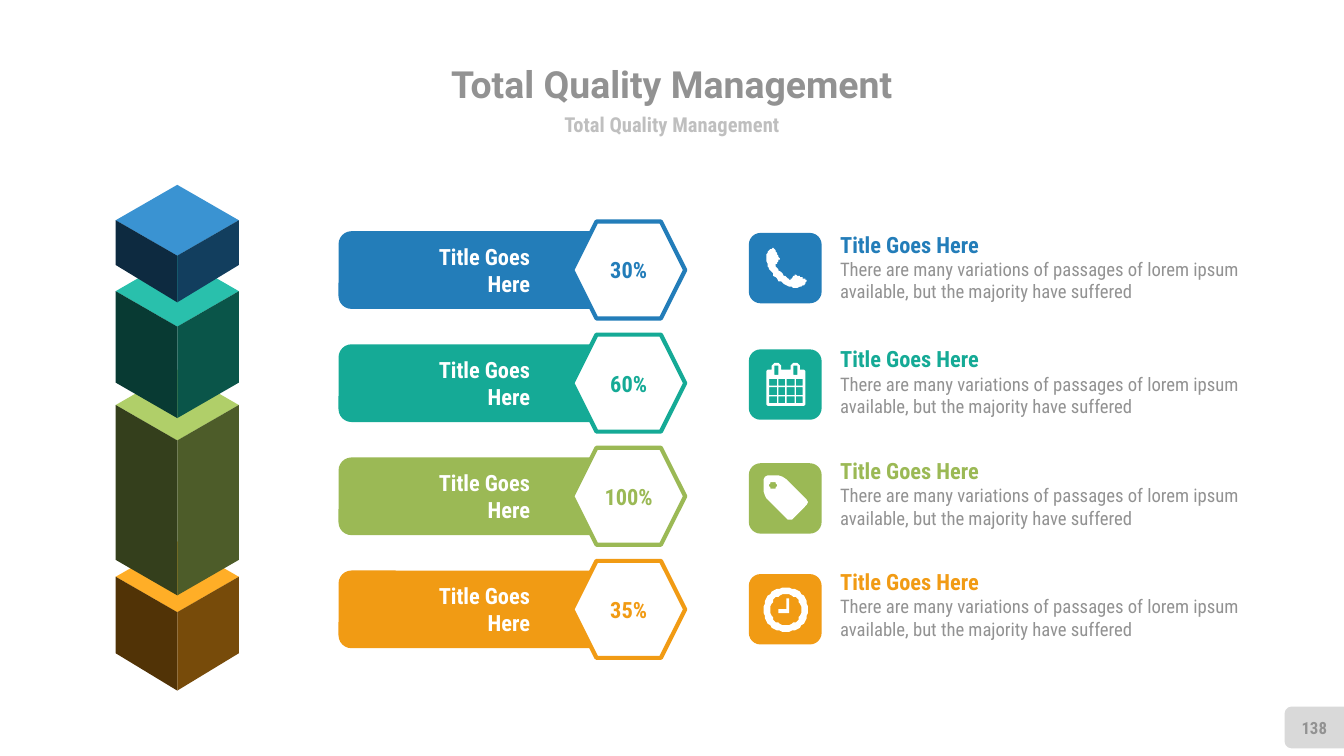
import math
from pptx import Presentation
from pptx.dml.color import RGBColor
from pptx.enum.shapes import MSO_SHAPE
from pptx.enum.text import MSO_ANCHOR, PP_ALIGN
from pptx.util import Pt

ROUND, HEX, TAB = MSO_SHAPE.ROUNDED_RECTANGLE, MSO_SHAPE.HEXAGON, MSO_SHAPE.ROUND_2_SAME_RECTANGLE
LEFT, MID, RIGHT = PP_ALIGN.LEFT, PP_ALIGN.CENTER, PP_ALIGN.RIGHT
TOP, CENTER = MSO_ANCHOR.TOP, MSO_ANCHOR.MIDDLE
HEAD, BODY = "Roboto", "Roboto Condensed"
UNIT = Pt(0.72)  # icon grid: a hundredth of an inch

COLORS = {
    "blue": "237DB9", "teal": "15AA96", "green": "9BB955", "orange": "F19B14",
    "white": "FFFFFF", "gray": "929292", "pale": "BFBFBF", "tab": "D9D9D9",
}
# Faces of each block: top, left, right
FACES = {
    "blue": ("3A93D2", "0D2A40", "123E5E"),
    "teal": ("29C0AC", "083A33", "0A5549"),
    "green": ("B0CF69", "343F1C", "4D5C29"),
    "orange": ("FFAE27", "513306", "774B0A"),
}
# Color, percent, icon top, text top
ROWS = [
    ("blue", "30%", 124.8, 120.2),
    ("teal", "60%", 187.2, 181.6),
    ("green", "100%", 248.2, 241.4),
    ("orange", "35%", 307.6, 300.9),
]
# Color, top and side height of each block, from the back
BLOCKS = [("orange", 290, 41.3), ("green", 198.1, 82.6),
          ("teal", 136.8, 49.4), ("blue", 98.6, 24.7)]
TITLE = "Title Goes Here"
NOTE = ("There are many variations of passages of lorem ipsum available, "
        "but the majority have suffered")


def paint(shape, color, line=None):
    shape.shadow.inherit = False
    shape.fill.solid()
    shape.fill.fore_color.rgb = RGBColor.from_string(color)
    if line:
        shape.line.color.rgb = RGBColor.from_string(line)
        shape.line.width = Pt(2.25)
    else:
        shape.line.fill.background()
    return shape


def add_box(slide, kind, box, color, line=None):
    shape = slide.shapes.add_shape(kind, *map(Pt, box))
    return paint(shape, COLORS[color], line and COLORS[line])


def fill_text(shape, lines, align=MID, anchor=CENTER, pad=(0, 0)):
    """Each line is (text, size, color, bold, font)."""
    frame = shape.text_frame
    frame.word_wrap = True
    frame.vertical_anchor = anchor
    frame.margin_left = frame.margin_right = Pt(pad[0])
    frame.margin_top = frame.margin_bottom = Pt(pad[1])
    for i, (text, size, color, bold, face) in enumerate(lines):
        par = frame.add_paragraph() if i else frame.paragraphs[0]
        par.text, par.alignment = text, align
        font = par.font
        font.size, font.bold, font.name = Pt(size), bold, face
        font.color.rgb = RGBColor.from_string(COLORS[color])


def add_text(slide, box, lines, **style):
    fill_text(slide.shapes.add_textbox(*map(Pt, box)), lines, **style)


def draw(slide, paths, color, x=0, y=0, scale=Pt(1)):
    pen = slide.shapes.build_freeform(*paths[0][0], scale=scale)
    for i, path in enumerate(paths):
        if i:
            pen.move_to(*path[0])
        pen.add_line_segments(path[1:], close=True)
    paint(pen.convert_to_shape(Pt(x), Pt(y)), color)


# Outlines on the icon grid
def rect(x, y, w, h):
    return [(x, y), (x + w, y), (x + w, y + h), (x, y + h)]


def ring(x, y, r, n=48):
    turns = [2 * math.pi * i / n for i in range(n)]
    return [(x + r * math.cos(t), y + r * math.sin(t)) for t in turns]


def smooth(path, times=2):
    for _ in range(times):
        path = [(a[0] + (b[0] - a[0]) * t, a[1] + (b[1] - a[1]) * t)
                for a, b in zip(path, path[1:] + path[:1]) for t in (0.25, 0.75)]
    return path


def phone():
    return [smooth([
        (42, 38), (39, 40), (35, 41), (30, 40), (26, 38), (20, 34), (16, 28),
        (14, 25), (13, 19), (13, 15), (16, 12), (19, 11), (20, 14), (22, 17),
        (23, 20), (20, 23), (20, 25), (24, 30), (29, 34), (31, 35), (34, 31),
        (37, 32), (41, 34), (43, 35)])]


def dates():
    page = [(13, 16), (14, 15), (17, 15), (17, 12), (19, 10), (22, 10), (24, 12),
            (24, 15), (31, 15), (31, 12), (33, 10), (36, 10), (38, 12), (38, 15),
            (41, 15), (42, 16), (42, 41), (41, 42), (14, 42), (13, 41)]
    cells = [rect(15.2 + 6.6 * i, 21.8 + 6.6 * j, 5.4, 5.4)
             for j in range(3) for i in range(4)]
    return [page, rect(19.2, 12, 2.6, 7), rect(33.2, 12, 2.6, 7)] + cells


def label():
    edge = [(43, 31), (32, 42), (30.5, 42.5), (29, 42), (13, 26), (11.5, 23.5),
            (11, 21), (11, 12), (12, 10), (14, 9), (22, 9), (25, 10), (28, 12),
            (43, 27), (44, 29)]
    return [edge, ring(18, 16.5, 2.7)]


def clock():
    hands = [(27.8, 18), (29.8, 18), (29.8, 29), (22, 29), (22, 26.4), (27.8, 26.4)]
    return [ring(27.5, 26.5, 16.5), ring(27.5, 26.5, 11.5), hands]


ICONS = [phone, dates, label, clock]


def add_header(slide, x, y, w):
    add_text(slide, (x, y, w, 28), [("Total Quality Management", 20, "gray", True, HEAD)])
    add_text(slide, (x, y + 28.1, w, 16),
             [("Total Quality Management", 11, "pale", True, BODY)])


def add_block(slide, name, x, y, w, tall):
    half, rise = w / 2, 19.1
    mid, end, low = x + half, x + w, y + 2 * rise
    top, left, right = FACES[name]
    draw(slide, [[(mid, y), (end, y + rise), (mid, low), (x, y + rise)]], top)
    for side, color in ((x, left), (end, right)):
        draw(slide, [[(side, y + rise), (mid, low), (mid, low + tall),
                      (side, y + rise + tall)]], color)


def add_bar(slide, name, share, x, y):
    add_box(slide, ROUND, (x, y, 165.6, 41.6), name)
    add_text(slide, (x + 30.2, y, 72.4, 41.6),
             [(TITLE, 12, "white", True, BODY)], align=RIGHT)
    tag = add_box(slide, HEX, (x + 125.2, y - 5.2, 60.5, 52), "white", name)
    fill_text(tag, [(share, 12, name, True, BODY)])


def add_note(slide, name, icon, x, y, top):
    add_box(slide, ROUND, (x, y, 39, 37.7), name)
    paths = icon()
    draw(slide, paths, COLORS["white"], x, y, UNIT)
    add_text(slide, (x + 41.8, top, 235.4, 46),
             [(TITLE, 12, name, True, BODY), (NOTE, 10, "gray", False, BODY)],
             align=LEFT, anchor=TOP, pad=(7.2, 3.6))


def add_number(slide, x, y, w, h):
    # The tab is turned on its side, so its sizes swap about its center
    tab = add_box(slide, TAB, (x + (w - h) / 2, y + (h - w) / 2, h, w), "tab")
    tab.rotation = 270
    add_text(slide, (x, y, w, h), [("138", 9, "gray", True, BODY)])


def main():
    deck = Presentation()
    deck.slide_width, deck.slide_height = Pt(720), Pt(405)
    slide = deck.slides.add_slide(deck.slide_layouts[6])
    add_header(slide, 138, 30.6, 444)
    for name, y, tall in BLOCKS:
        add_block(slide, name, 62.1, y, 66.4, tall)
    for i, ((name, share, y, top), icon) in enumerate(zip(ROWS, ICONS)):
        add_bar(slide, name, share, 181.4, 123.9 + 60.6 * i)
        add_note(slide, name, icon, 401.2, y, top)
    add_number(slide, 688.2, 378.5, 31.8, 22.4)
    deck.save("out.pptx")


if __name__ == "__main__":
    main()
